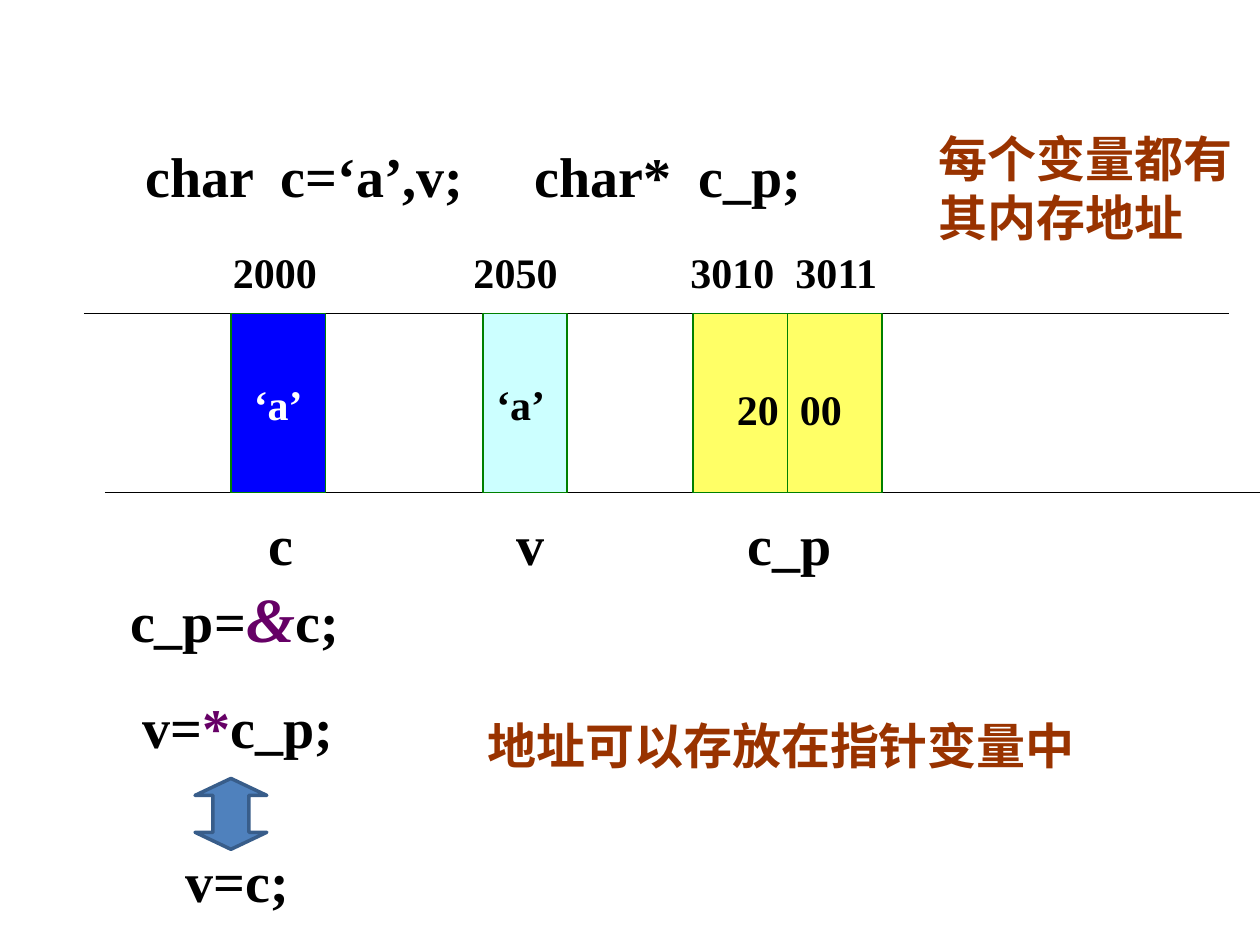
from dataclasses import dataclass

from lxml.etree import SubElement
from pptx import Presentation
from pptx.dml.color import RGBColor
from pptx.enum.shapes import MSO_CONNECTOR, MSO_SHAPE
from pptx.enum.text import MSO_ANCHOR, MSO_AUTO_SIZE, PP_ALIGN
from pptx.oxml.ns import qn
from pptx.shapes.autoshape import Shape
from pptx.slide import Slide
from pptx.util import Pt

BLACK, PURPLE, BROWN, WHITE = "000000", "660066", "993300", "FFFFFF"
SERIF, COMIC = "Times New Roman", "Comic Neue"
MEMORY_TOP, MEMORY_BOTTOM = 179.3, 281.5
ADDRESS_TOP, NAME_TOP = 137.5, 287.5


@dataclass
class Run:
    text: str
    size: float = 32
    color: str = BLACK
    font: str = SERIF
    italic: bool = False


@dataclass
class Label:
    left: float
    top: float
    width: float
    height: float
    runs: list[Run]
    tabs: tuple[float, ...] = ()


@dataclass
class Cell:
    left: float
    width: float
    fill: str


def rgb(hex_color: str) -> RGBColor:
    return RGBColor.from_string(hex_color)


def fill_paragraph(paragraph, runs: list[Run], tabs: tuple[float, ...] = ()) -> None:
    if tabs:
        tab_list = SubElement(paragraph._p.get_or_add_pPr(), qn("a:tabLst"))
        for position in tabs:
            SubElement(tab_list, qn("a:tab"), pos=str(Pt(position)), algn="l")
    for item in runs:
        run = paragraph.add_run()
        run.text = item.text
        formats = {"name": item.font, "size": Pt(item.size), "bold": True, "italic": item.italic}
        for attribute, value in formats.items():
            setattr(run.font, attribute, value)
        run.font.color.rgb = rgb(item.color)


def add_label(slide: Slide, label: Label) -> None:
    box = slide.shapes.add_textbox(
        Pt(label.left), Pt(label.top), Pt(label.width), Pt(label.height))
    box.text_frame.word_wrap = True
    box.text_frame.auto_size = MSO_AUTO_SIZE.SHAPE_TO_FIT_TEXT
    fill_paragraph(box.text_frame.paragraphs[0], label.runs, label.tabs)


def add_filled(slide: Slide, preset: MSO_SHAPE, left: float, top: float, width: float,
               height: float, fill: str, line: str, weight: float) -> Shape:
    shape = slide.shapes.add_shape(preset, Pt(left), Pt(top), Pt(width), Pt(height))
    shape.shadow.inherit = False
    shape.fill.solid()
    shape.fill.fore_color.rgb = rgb(fill)
    shape.line.color.rgb = rgb(line)
    shape.line.width = Pt(weight)
    return shape


def add_cell(slide: Slide, cell: Cell) -> Shape:
    return add_filled(slide, MSO_SHAPE.RECTANGLE, cell.left, MEMORY_TOP, cell.width,
                      MEMORY_BOTTOM - MEMORY_TOP, cell.fill, "008000", 0.75)


def add_memory_edge(slide: Slide, start: float, end: float, y: float) -> None:
    edge = slide.shapes.add_connector(
        MSO_CONNECTOR.STRAIGHT, Pt(start), Pt(y), Pt(end), Pt(y))
    edge.line.color.rgb = rgb(BLACK)
    edge.line.width = Pt(0.75)
    SubElement(edge._element.spPr, qn("a:effectLst"))


def set_guides(shape: Shape, **guides: float) -> None:
    """Write the adjustments by guide name, as the up-down arrow's defaults repeat one name."""
    values = shape._element.spPr.find(qn("a:prstGeom")).find(qn("a:avLst"))
    for guide in list(values):
        values.remove(guide)
    for name, share in guides.items():
        SubElement(values, qn("a:gd"), name=name, fmla=f"val {round(share * 100000)}")


def address(left: float, number: str) -> Label:
    return Label(left, ADDRESS_TOP, 64, 36, [Run(number, 24)])


def variable_name(left: float, width: float, name: str) -> Label:
    return Label(left, NAME_TOP, width, 46, [Run(name)])


def remark(left: float, top: float, width: float, height: float, text: str) -> Label:
    return Label(left, top, width, height, [Run(text, 28, BROWN, COMIC)])


LABELS = [
    Label(76, 77.4, 390, 46, [Run("char\tc=‘a’,v;\tchar*\tc_p;")], (77.5, 222.5, 316)),
    address(126, "2000"),
    address(263.5, "2050"),
    address(387.5, "3010"),
    address(447.5, "3011"),
    Label(276.5, 212.5, 84, 36, [Run("‘a’", 24)]),
    Label(414, 215.5, 84, 36, [Run("20\t00", 24)], (36,)),
    variable_name(146.5, 31, "c"),
    variable_name(288, 32, "v"),
    variable_name(420, 66, "c_p"),
    Label(67.3, 327.5, 180, 89, [Run("c_p="), Run("&", 36, PURPLE, italic=True), Run("c;")]),
    Label(74.4, 392, 128, 46, [Run("v="), Run("*", color=PURPLE), Run("c_p;")]),
    Label(99, 480, 78, 46, [Run("v=c;")]),
    remark(529.2, 70, 199.5, 75, "每个变量都有其内存地址"),
    remark(271.5, 405.5, 430.5, 41, "地址可以存放在指针变量中"),
]


def main() -> None:
    deck = Presentation()
    deck.slide_width, deck.slide_height = Pt(720), Pt(540)
    slide = deck.slides.add_slide(deck.slide_layouts[6])

    add_memory_edge(slide, 48, 702, MEMORY_TOP)
    add_memory_edge(slide, 60, 720, MEMORY_BOTTOM)

    c_cell = add_cell(slide, Cell(132, 54, "0000FF"))
    c_cell.text_frame.word_wrap = False
    c_cell.text_frame.vertical_anchor = MSO_ANCHOR.MIDDLE
    c_value = c_cell.text_frame.paragraphs[0]
    c_value.alignment = PP_ALIGN.CENTER
    fill_paragraph(c_value, [Run("‘a’", 24, WHITE)])

    for cell in (Cell(276, 48, "CCFFFF"), Cell(396, 54, "FFFF66"), Cell(450, 54, "FFFF66")):
        add_cell(slide, cell)

    equivalence = add_filled(slide, MSO_SHAPE.UP_DOWN_ARROW, 111.5, 444.8, 41, 40.5,
                             "4F81BD", "385D8A", 2)
    set_guides(equivalence, adj1=0.5, adj2=0.24)

    for label in LABELS:
        add_label(slide, label)

    deck.save("out.pptx")


if __name__ == "__main__":
    main()
